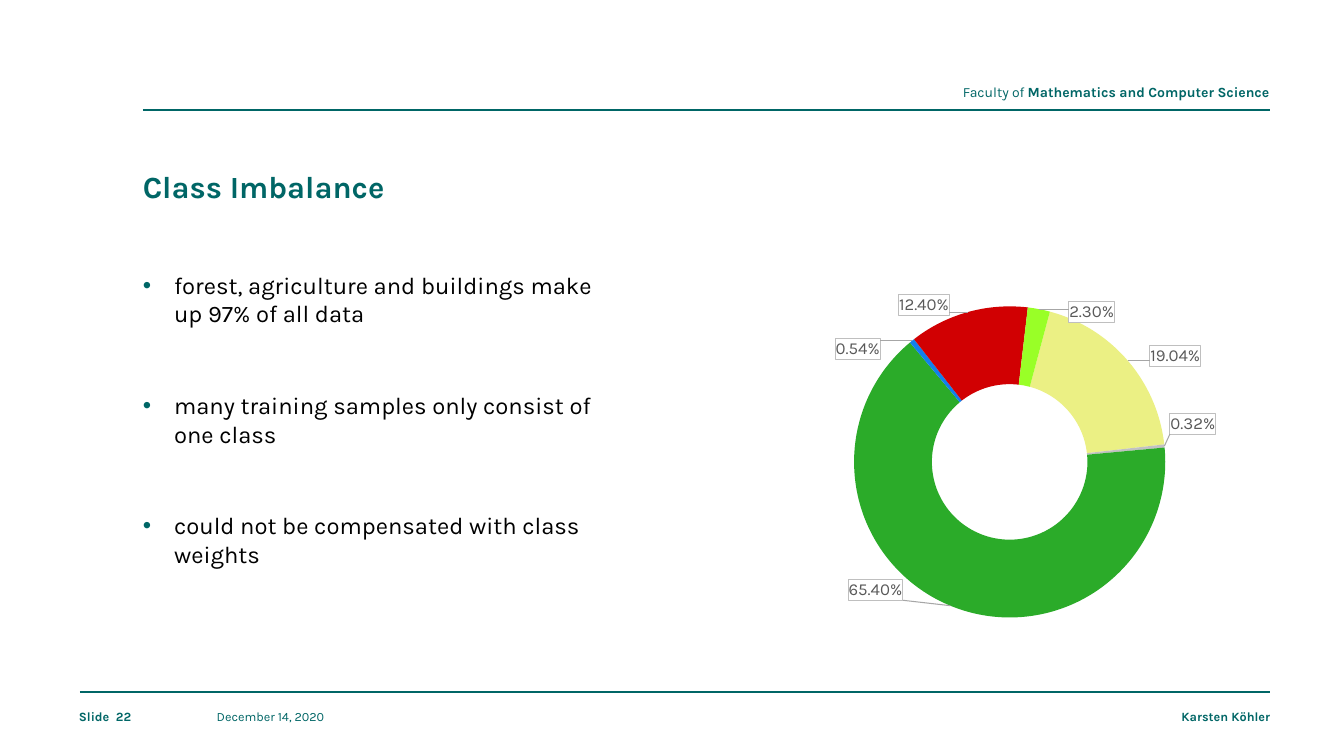
from math import cos, pi, sin

from pptx import Presentation
from pptx.chart.data import CategoryChartData as ChartData
from pptx.dml.color import RGBColor
from pptx.enum.chart import XL_CHART_TYPE as ChartType
from pptx.enum.shapes import MSO_CONNECTOR as Connector
from pptx.enum.text import MSO_ANCHOR as Anchor, MSO_AUTO_SIZE as AutoSize, PP_ALIGN as Align
from pptx.oxml import parse_xml
from pptx.oxml.ns import nsdecls
from pptx.util import Inches, Pt

COLUMNS, ROWS = 160, 90
TEAL, BLACK, GRAY = "006666", "000000", "595959"
FONT = "Karla"
START_ANGLE = 15
RING_X, RING_Y = 0.265, 0.344
CENTER_X, CENTER_Y = 0.494, 0.503

CLASS_SHARES = [
    (0.1904, "EBF084", 0.87, 0.19),
    (0.0032, "C1C1C1", 0.91, 0.39),
    (0.6540, "2BAB29", 0.19, 0.88),
    (0.0054, "1280EC", 0.15, 0.17),
    (0.1240, "D10002", 0.30, 0.04),
    (0.0230, "99FF27", 0.68, 0.06),
]
FINDINGS = [
    "forest, agriculture and buildings make up 97% of all data",
    "many training samples only consist of one class",
    "could not be compensated with class weights",
]


def color(value):
    return RGBColor.from_string(value)


def add_text(paragraph, text, size=9, fill=TEAL, bold=False, align=Align.LEFT):
    paragraph.alignment = align
    run = paragraph.add_run()
    run.text = text
    run.font.name = FONT
    run.font.size = Pt(size)
    run.font.bold = bold
    run.font.color.rgb = color(fill)


def label_xml():
    box = ('<c:numFmt formatCode="0.00%" sourceLinked="0"/>'
           '<c:spPr><a:solidFill><a:srgbClr val="FFFFFF"/></a:solidFill>'
           '<a:ln w="9525"><a:solidFill><a:srgbClr val="BFBFBF"/></a:solidFill></a:ln></c:spPr>'
           '<c:txPr><a:bodyPr wrap="none"/><a:p><a:pPr><a:defRPr sz="1200" b="0">'
           f'<a:solidFill><a:srgbClr val="{GRAY}"/></a:solidFill><a:latin typeface="{FONT}"/>'
           '</a:defRPr></a:pPr><a:endParaRPr lang="en-US"/></a:p></c:txPr>')
    flags = "".join(f'<c:show{part} val="{int(part == "Val")}"/>' for part in
                    ("LegendKey", "Val", "CatName", "SerName", "Percent", "BubbleSize"))
    labels, passed = "", START_ANGLE / 360
    for index, (share, _, x, y) in enumerate(CLASS_SHARES):
        middle = 2 * pi * (passed + share / 2)
        passed += share
        shift_x = x - CENTER_X - RING_X * sin(middle)
        shift_y = y - CENTER_Y + RING_Y * cos(middle)
        labels += (f'<c:dLbl><c:idx val="{index}"/><c:layout><c:manualLayout>'
                   f'<c:x val="{shift_x:.3f}"/><c:y val="{shift_y:.3f}"/>'
                   f'</c:manualLayout></c:layout>{box}{flags}</c:dLbl>')
    return (f'<c:dLbls {nsdecls("c", "a")}>{labels}{box}{flags}'
            '<c:showLeaderLines val="1"/><c:leaderLines><c:spPr><a:ln w="9525"><a:solidFill>'
            '<a:srgbClr val="A6A6A6"/></a:solidFill></a:ln></c:spPr></c:leaderLines></c:dLbls>')


def plot_layout_xml():
    sizes = {"x": CENTER_X - 1.5 * RING_X * 8 / 9, "y": CENTER_Y - RING_Y * 4 / 3,
             "w": RING_X * 8 / 3, "h": RING_Y * 8 / 3}
    sizes["x"] = CENTER_X - sizes["w"] / 2
    values = "".join(f'<c:{side} val="{size:.3f}"/>' for side, size in sizes.items())
    return (f'<c:layout {nsdecls("c")}><c:manualLayout><c:layoutTarget val="inner"/>'
            '<c:xMode val="edge"/><c:yMode val="edge"/>'
            f'{values}</c:manualLayout></c:layout>')


class SlideBuilder:
    def __init__(self, deck):
        self.cell_width = deck.slide_width / COLUMNS
        self.cell_height = deck.slide_height / ROWS
        self.slide = deck.slides.add_slide(deck.slide_layouts[1])

    def grid(self, column, row, columns, rows):
        return (round(column * self.cell_width), round(row * self.cell_height),
                round(columns * self.cell_width), round(rows * self.cell_height))

    def prepare(self, frame):
        frame.margin_left = frame.margin_right = frame.margin_top = frame.margin_bottom = 0
        frame.word_wrap = True
        frame.auto_size = AutoSize.NONE
        frame.vertical_anchor = Anchor.TOP
        return frame

    def place(self, holder, area):
        holder.left, holder.top, holder.width, holder.height = self.grid(*area)
        return self.prepare(holder.text_frame)

    def title(self, area, text):
        frame = self.place(self.slide.shapes.title, area)
        add_text(frame.paragraphs[0], text, size=22, bold=True)

    def bullets(self, area, items):
        frame = self.place(self.slide.placeholders[1], area)
        for index, item in enumerate(items):
            paragraph = frame.add_paragraph() if index else frame.paragraphs[0]
            properties = paragraph._p.get_or_add_pPr()
            properties.set("marL", str(Inches(0.31)))
            properties.set("indent", str(-Inches(0.31)))
            for bullet in (f'<a:buClr {nsdecls("a")}><a:srgbClr val="{TEAL}"/></a:buClr>',
                           f'<a:buFont {nsdecls("a")} typeface="Arial"/>',
                           f'<a:buChar {nsdecls("a")} char="•"/>'):
                properties.append(parse_xml(bullet))
            paragraph.space_before = Pt(0)
            paragraph.space_after = Pt(45)
            add_text(paragraph, item, size=17, fill=BLACK)

    def text(self, area, *parts, **style):
        frame = self.prepare(self.slide.shapes.add_textbox(*self.grid(*area)).text_frame)
        for words, bold in parts:
            add_text(frame.paragraphs[0], words, bold=bold, **style)

    def rule(self, start, end, row, weight=1):
        left, top, right, _ = self.grid(start, row, end, 0)
        line = self.slide.shapes.add_connector(Connector.STRAIGHT, left, top, right, top)
        line.line.color.rgb = color(TEAL)
        line.line.width = Pt(weight)
        line._element.spPr.append(parse_xml(f'<a:effectLst {nsdecls("a")}/>'))

    def doughnut(self, area, shares):
        data = ChartData(number_format="0.00%")
        data.categories = [str(number + 1) for number in range(len(shares))]
        data.add_series("Series 1", [share for share, *_ in shares])
        chart = self.slide.shapes.add_chart(ChartType.DOUGHNUT, *self.grid(*area), data).chart
        chart.has_title = chart.has_legend = False
        chart.font.name, chart.font.size = FONT, Pt(10)
        chart.font.color.rgb = color(BLACK)
        plot = chart.plots[0]
        plot.vary_by_categories = True
        series = plot.series[0]
        for index, (_, fill, *_) in enumerate(shares):
            point = series.points[index].format
            point.fill.solid()
            point.fill.fore_color.rgb = color(fill)
            point.line.fill.background()
        series._element.find("{*}cat").addprevious(parse_xml(label_xml()))
        area_xml = chart._chartSpace.chart.plotArea
        for layout in area_xml.findall("{*}layout"):
            area_xml.remove(layout)
        area_xml.insert(0, parse_xml(plot_layout_xml()))
        area_xml.find(".//{*}firstSliceAng").set("val", str(START_ANGLE))
        area_xml.find(".//{*}holeSize").set("val", "65")


def main():
    deck = Presentation()
    deck.slide_width, deck.slide_height = Inches(13.33), Inches(7.5)
    page = SlideBuilder(deck)
    page.rule(17, 151.2, 13.1, weight=1.5)
    page.rule(9.5, 151.2, 82.4)
    page.text((91.2, 10, 59.9, 2.9), ("Faculty of ", False),
              ("Mathematics and Computer Science", True), size=10, align=Align.RIGHT)
    page.title((17, 20, 134.2, 5.2), "Class Imbalance")
    page.text((9.4, 84.4, 4.4, 3.1), ("Slide", True))
    page.text((13.8, 84.4, 8.5, 3.1), ("22", True))
    page.text((25.8, 84.4, 16.3, 3.1), ("December 14, 2020", False))
    page.text((47.6, 84.4, 103.6, 3.1), ("Karsten Köhler", True), align=Align.RIGHT)
    page.doughnut((94.2, 34.7, 52.6, 40.4), CLASS_SHARES)
    page.bullets((17, 32.2, 56.4, 40.4), FINDINGS)
    deck.save("out.pptx")


if __name__ == "__main__":
    main()
